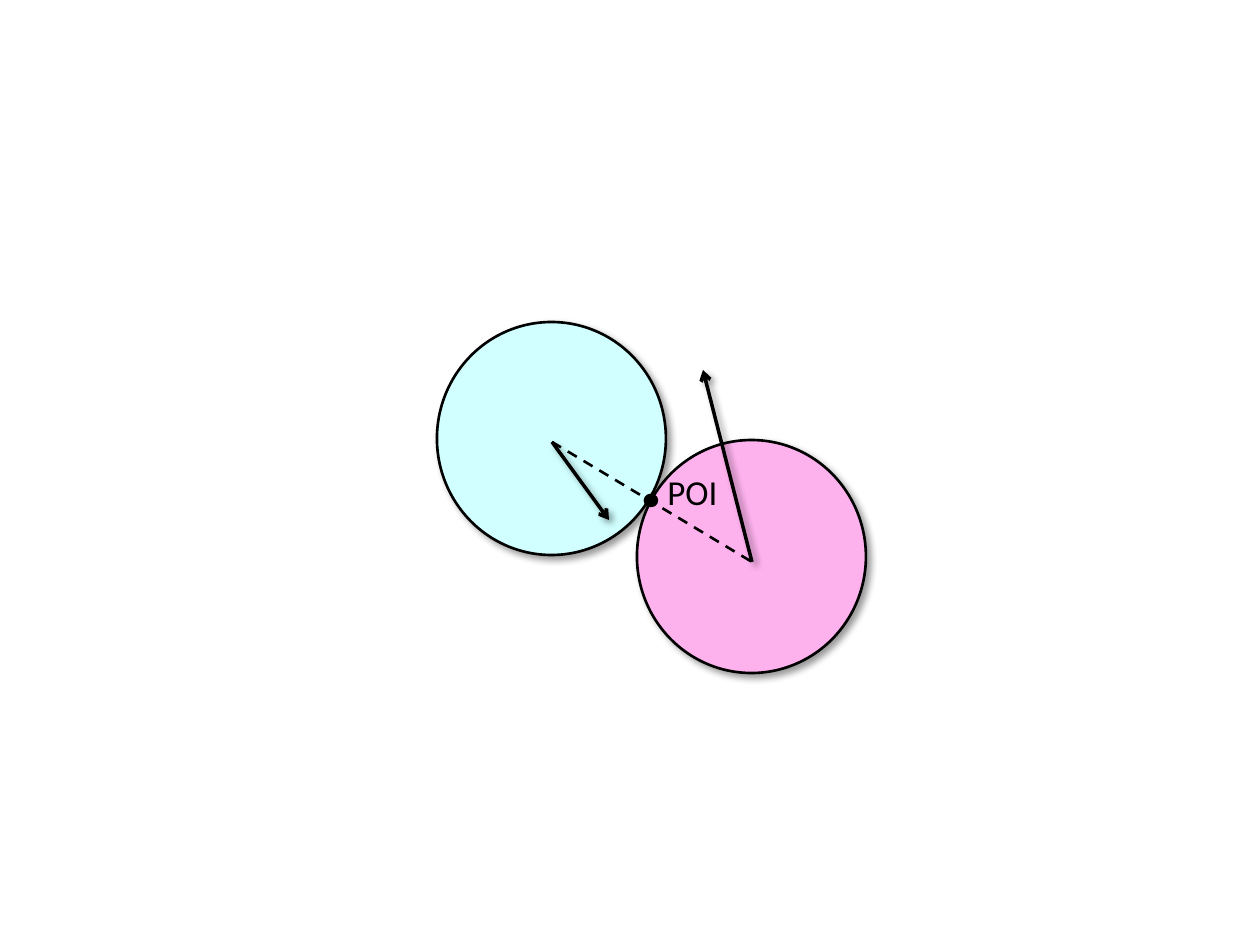
from lxml.etree import SubElement
from pptx import Presentation
from pptx.dml.color import RGBColor
from pptx.enum.dml import MSO_LINE_DASH_STYLE as Dash
from pptx.enum.shapes import MSO_CONNECTOR as Connector, MSO_SHAPE as Shape
from pptx.enum.text import MSO_AUTO_SIZE as AutoSize
from pptx.oxml.ns import qn
from pptx.util import Emu, Pt

PX = 914400 // 126
BLACK = RGBColor(0x00, 0x00, 0x00)
CYAN = RGBColor(0xD1, 0xFF, 0xFF)
PINK = RGBColor(0xFD, 0xB1, 0xED)

# Content, in px
BALL_SIZE = (229, 233)
BALLS = [((437, 322), CYAN), ((637, 440), PINK)]
CENTERS = [(552, 442), (752, 562)]
VELOCITY_TIPS = [(609, 520), (703, 370)]
CONTACT_DOT = (645, 495, 12, 11)
LABEL = ("POI", (655, 464, 76, 55))


def px(*lengths):
    return [Emu(length * PX) for length in lengths]


def set_effects(shape, shadow):
    effects = SubElement(shape.element.spPr, qn("a:effectLst"))
    if shadow:
        outer = SubElement(effects, qn("a:outerShdw"), blurRad=str(Pt(4)),
                           dist=str(Pt(3)), dir=str(45 * 60000),
                           algn="tl", rotWithShape="0")
        color = SubElement(outer, qn("a:srgbClr"), val=str(BLACK))
        SubElement(color, qn("a:alpha"), val="40000")


def style_line(shape, width):
    shape.line.color.rgb = BLACK
    shape.line.width = Pt(width)


def add_ellipse(slide, box, fill, shadow):
    ellipse = slide.shapes.add_shape(Shape.OVAL, *px(*box))
    ellipse.fill.solid()
    ellipse.fill.fore_color.rgb = fill
    style_line(ellipse, 1.5)
    set_effects(ellipse, shadow)


def add_line(slide, start, end, width, arrow):
    line = slide.shapes.add_connector(Connector.STRAIGHT, *px(*start, *end))
    style_line(line, width)
    if arrow:
        SubElement(line.line._get_or_add_ln(), qn("a:tailEnd"), type="arrow")
    else:
        line.line.dash_style = Dash.DASH
    set_effects(line, shadow=arrow)


def add_label(slide, text, box):
    frame = slide.shapes.add_textbox(*px(*box)).text_frame
    frame.word_wrap = False
    frame.auto_size = AutoSize.SHAPE_TO_FIT_TEXT
    paragraph = frame.paragraphs[0]
    paragraph.text = text
    paragraph.font.name = "Calibri"
    paragraph.font.size = Pt(20)
    paragraph.font.color.rgb = BLACK


def main():
    presentation = Presentation()
    presentation.slide_width, presentation.slide_height = px(1260, 945)
    slide = presentation.slides.add_slide(presentation.slide_layouts[6])

    # Balls
    for corner, color in BALLS:
        add_ellipse(slide, corner + BALL_SIZE, color, shadow=True)

    # Velocity arrows
    for center, tip in zip(CENTERS, VELOCITY_TIPS):
        add_line(slide, center, tip, 2, arrow=True)

    # Point of impact and the line between the centers
    add_label(slide, *LABEL)
    add_ellipse(slide, CONTACT_DOT, BLACK, shadow=False)
    add_line(slide, *CENTERS, 1.5, arrow=False)

    presentation.save("out.pptx")


if __name__ == "__main__":
    main()
